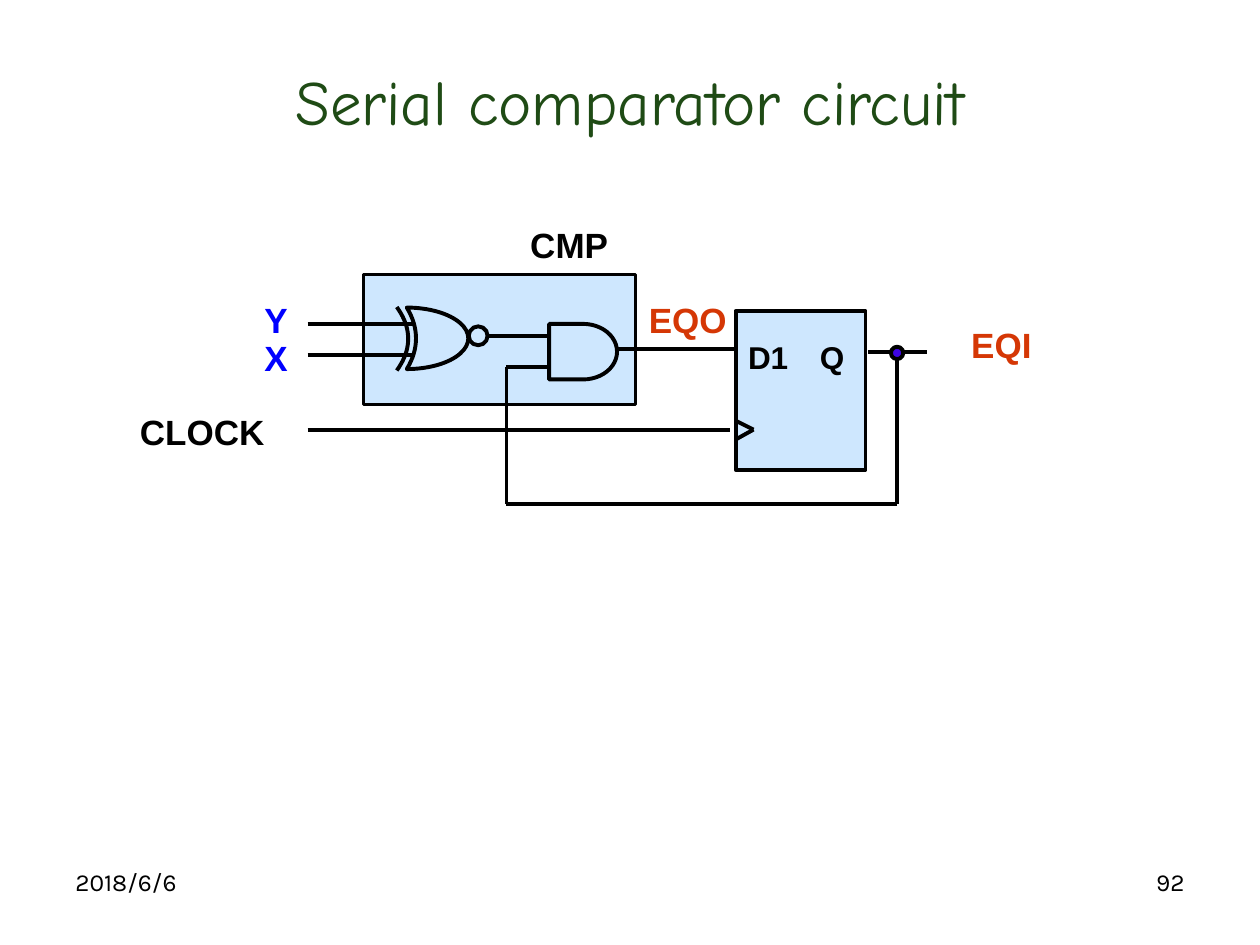
from itertools import pairwise

from lxml import etree
from pptx import Presentation
from pptx.dml.color import RGBColor
from pptx.enum.shapes import MSO_CONNECTOR, MSO_SHAPE
from pptx.enum.text import MSO_ANCHOR, PP_ALIGN
from pptx.oxml.ns import qn
from pptx.util import Cm, Pt

STRAIGHT = MSO_CONNECTOR.STRAIGHT
RECTANGLE, OVAL = MSO_SHAPE.RECTANGLE, MSO_SHAPE.OVAL
MOON, DELAY = MSO_SHAPE.MOON, MSO_SHAPE.FLOWCHART_DELAY
LEFT, CENTER, RIGHT = PP_ALIGN.LEFT, PP_ALIGN.CENTER, PP_ALIGN.RIGHT
TOP, MIDDLE = MSO_ANCHOR.TOP, MSO_ANCHOR.MIDDLE

COLORS = {"ink": "000000", "title": "1F4B15", "block": "CEE7FE",
          "input": "0000FF", "state": "D53705", "junction": "3E04E2"}

FORMATS = {
    "title": {"name": "Comic Neue", "size": Pt(36)},
    "footer": {"name": "Karla", "size": Pt(14)},
    "signal": {"name": "Arial", "size": Pt(20), "bold": True},
    "pin": {"name": "Arial", "size": Pt(18), "bold": True},
}

TEXTS = [
    ("2018/6/6", (1.27, 17.35, 5.92, 1.32), "footer", "ink", LEFT, TOP),
    ("92", (18.21, 17.35, 5.92, 1.32), "footer", "ink", RIGHT, TOP),
    ("Serial comparator circuit", (1.27, 0.76, 22.86, 2.51), "title", "title", CENTER, MIDDLE),
    ("D1", (14.83, 6.68, 1.7, 1.02), "pin", "ink", LEFT, TOP),
    ("Q", (16.28, 6.68, 0.94, 1.02), "pin", "ink", CENTER, TOP),
    ("CLOCK", (2.57, 8.15, 3.25, 1.09), "signal", "ink", LEFT, TOP),
    ("CMP", (10.44, 4.39, 2.26, 1.09), "signal", "ink", LEFT, TOP),
    ("Y", (5.08, 5.89, 1.24, 1.09), "signal", "input", LEFT, TOP),
    ("X", (5.08, 6.65, 1.24, 1.09), "signal", "input", LEFT, TOP),
    ("EQO", (12.83, 5.89, 2.26, 1.09), "signal", "state", LEFT, TOP),
    ("EQI", (19.33, 6.4, 2.01, 1.09), "signal", "state", LEFT, TOP),
]

BLOCKS = [
    (RECTANGLE, (7.32, 5.54, 5.49, 2.62), "block", 1.75),
    (RECTANGLE, (14.83, 6.27, 2.62, 3.2), "block", 2.25),
]
GATES = [
    (OVAL, (9.45, 6.58, 0.38, 0.38), None, 2.25),
    (DELAY, (11.07, 6.53, 1.37, 1.12), None, 2.25),
]
XNOR_BODY = (MOON, (8.2, 6.2, 1.24, 1.24), None, 2.25)
JUNCTION = (OVAL, (17.96, 6.99, 0.25, 0.25), "junction", 2.25)

WIRES = [
    [(14.83, 8.48), (15.19, 8.66), (14.83, 8.86)],
    [(17.5, 7.09), (18.69, 7.09)],
    [(12.45, 7.04), (14.83, 7.04)],
    [(9.83, 6.78), (11.07, 6.78)],
    [(6.2, 6.53), (8.33, 6.53)],
    [(6.2, 7.16), (8.33, 7.16)],
    [(6.2, 8.66), (14.71, 8.66)],
    [(18.08, 7.04), (18.08, 10.16), (10.21, 10.16), (10.21, 7.39), (11.07, 7.39)],
]

ARC = {"left": 8.0, "middle": 6.83, "bulge": 0.23, "reach": 0.64, "steps": 20}


def color(key):
    return RGBColor.from_string(COLORS[key])


def apply_style(shape, fill, width):
    shape.shadow.inherit = False
    if fill:
        shape.fill.solid()
        shape.fill.fore_color.rgb = color(fill)
    else:
        shape.fill.background()
    shape.line.color.rgb = color("ink")
    shape.line.width = Pt(width)


def add_block(slide, kind, box, fill, width):
    shape = slide.shapes.add_shape(kind, *map(Cm, box))
    apply_style(shape, fill, width)
    return shape


def add_text(slide, text, box, style, tint, alignment, anchor):
    frame = slide.shapes.add_textbox(*map(Cm, box)).text_frame
    frame.word_wrap = True
    frame.vertical_anchor = anchor
    paragraph = frame.paragraphs[0]
    paragraph.alignment = alignment
    run = paragraph.add_run()
    run.text = text
    for attribute, value in FORMATS[style].items():
        setattr(run.font, attribute, value)
    run.font.color.rgb = color(tint)


def add_wire(slide, points):
    for start, end in pairwise(points):
        wire = slide.shapes.add_connector(STRAIGHT, *map(Cm, start + end))
        wire.line.color.rgb = color("ink")
        wire.line.width = Pt(2.25)
        etree.SubElement(wire._element.spPr, qn("a:effectLst"))


def add_arc(slide):
    offsets = [1 - 2 * step / ARC["steps"] for step in range(ARC["steps"] + 1)]
    points = [(Cm(ARC["left"] + ARC["bulge"] * (1 - offset ** 2)),
               Cm(ARC["middle"] + ARC["reach"] * offset)) for offset in offsets]
    builder = slide.shapes.build_freeform(*points[0])
    builder.add_line_segments(points[1:], close=False)
    apply_style(builder.convert_to_shape(), None, 2.25)


def main():
    presentation = Presentation()
    presentation.slide_width, presentation.slide_height = Cm(25.4), Cm(19.05)
    slide = presentation.slides.add_slide(presentation.slide_layouts[6])
    for block in BLOCKS + GATES:
        add_block(slide, *block)
    body = add_block(slide, *XNOR_BODY)
    body.rotation = 180
    body.adjustments[0] = 0.85
    add_arc(slide)
    for points in WIRES:
        add_wire(slide, points)
    add_block(slide, *JUNCTION)
    for text in TEXTS:
        add_text(slide, *text)
    presentation.save("out.pptx")


if __name__ == "__main__":
    main()
